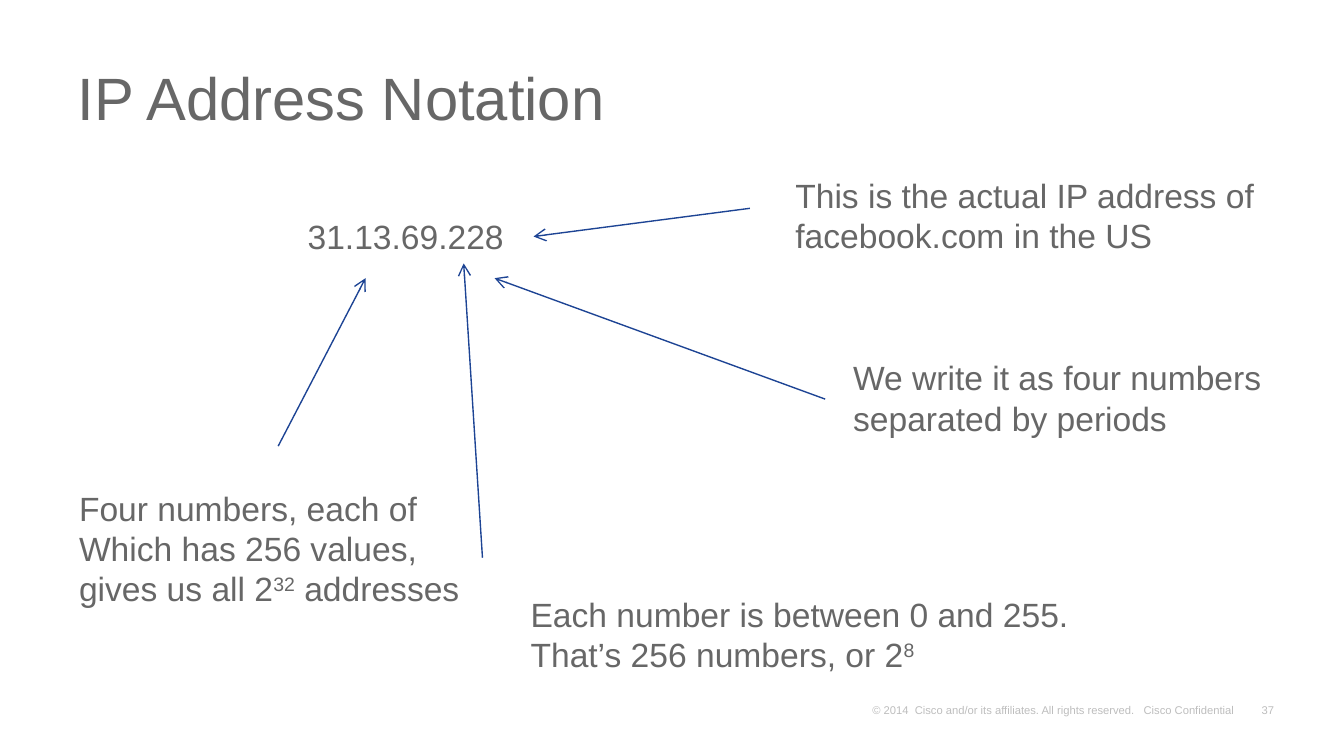
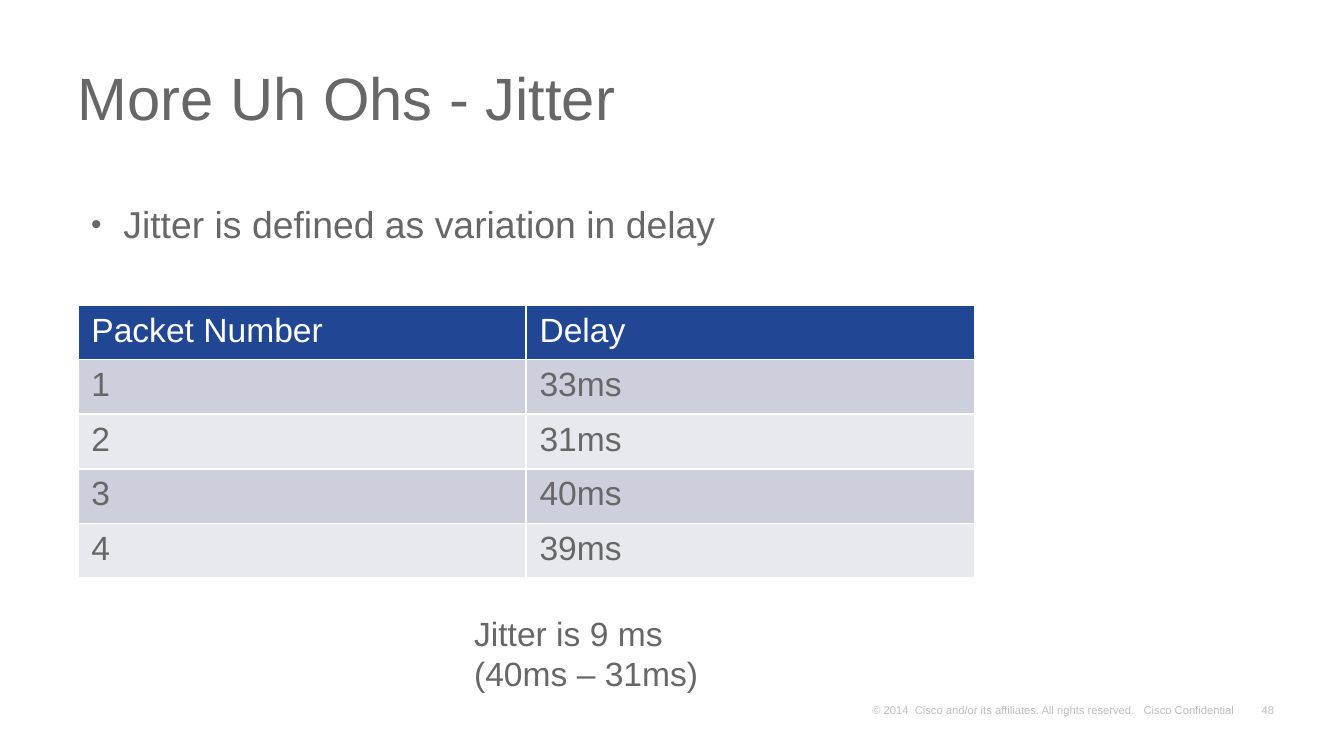
from dataclasses import dataclass
from typing import Optional

from lxml import etree
from pptx import Presentation
from pptx import util as u
from pptx.dml import color
from pptx.enum import shapes, text
from pptx.oxml import ns

FONT = "Arial"
HUES = {"text": "676767", "line": "1D4494", "head": "214794", "odd": "CDCFDC",
        "even": "E8E9EE", "white": "FFFFFF", "foot": "000000"}
LEGAL = ("© 2014  Cisco and/or its affiliates. All rights reserved.   "
         "Cisco Confidential")
ROWS = [("Packet Number", "Delay"), ("1", "33ms"), ("2", "31ms"),
        ("3", "40ms"), ("4", "39ms")]


@dataclass(frozen=True)
class Label:
    """Text lines in a box; a part between carets is raised."""
    box: tuple[float, float, float, float]
    lines: tuple[str, ...]
    size: int = 18
    hue: str = "text"
    wrap: bool = True
    grow: bool = True
    anchor: text.MSO_ANCHOR = text.MSO_ANCHOR.TOP
    align: text.PP_ALIGN = text.PP_ALIGN.LEFT
    inset: tuple[float, float] = (0.1, 0.05)
    space: Optional[float] = None
    bullet: bool = False


@dataclass(frozen=True)
class Arrow:
    start: tuple[float, float]
    end: tuple[float, float]


ADDRESS = Label((2.19, 1.56, 1.78, 0.4), ("31.13.69.228",), wrap=False)
NOTES = [
    Label((5.82, 1.25, 3.63, 0.71),
          ("This is the actual IP address of facebook.com in the US",)),
    Label((6.25, 2.61, 3.63, 0.71),
          ("We write it as four numbers separated by periods",)),
    Label((3.85, 4.37, 4.4, 0.71),
          ("Each number is between 0 and 255.", "That’s 256 numbers, or 2^8^"),
          wrap=False),
    Label((0.49, 3.58, 3.03, 1.31),
          ("Four numbers, each of",
           "Which has 256 values, gives us all 2^32^ addresses")),
]
ARROWS = [Arrow((5.58, 1.55), (3.97, 1.75)), Arrow((6.14, 2.97), (3.68, 2.07)),
          Arrow((3.59, 4.15), (3.45, 1.96)), Arrow((2.07, 3.32), (2.72, 2.07))]
POINT = Label((0.51, 1.47, 9.05, 3.46), ("Jitter is defined as variation in delay",),
              size=20, grow=False, space=0.95, bullet=True)
RESULT = Label((3.43, 4.51, 1.93, 0.71), ("Jitter is 9 ms", "(40ms – 31ms)"),
               wrap=False)


def rgb(hue: str) -> color.RGBColor:
    return color.RGBColor.from_string(HUES[hue])


def add(parent, tag: str, **attrs: str):
    """Append a DrawingML child element."""
    return etree.SubElement(parent, ns.qn(tag), attrs)


def style(para, size: int, hue: str) -> None:
    font = para.font
    font.name, font.size, font.bold = FONT, u.Pt(size), False
    font.color.rgb = rgb(hue)


def dot(para) -> None:
    """Give a paragraph a small hanging bullet."""
    props = para._p.get_or_add_pPr()
    props.set("marL", str(u.Inches(0.31)))
    props.set("indent", str(u.Inches(-0.24)))
    add(add(props, "a:buClr"), "a:srgbClr", val=HUES["text"])
    add(props, "a:buSzPct", val="80000")
    add(props, "a:buFont", typeface=FONT)
    add(props, "a:buChar", char="•")


def write(slide, label: Label):
    shape = slide.shapes.add_textbox(*map(u.Inches, label.box))
    frame = shape.text_frame
    frame.word_wrap = label.wrap
    frame.auto_size = (text.MSO_AUTO_SIZE.SHAPE_TO_FIT_TEXT if label.grow
                       else text.MSO_AUTO_SIZE.NONE)
    frame.vertical_anchor = label.anchor
    side, edge = map(u.Inches, label.inset)
    frame.margin_left = frame.margin_right = side
    frame.margin_top = frame.margin_bottom = edge
    for row, line in enumerate(label.lines):
        para = frame.add_paragraph() if row else frame.paragraphs[0]
        para.alignment = label.align
        if label.space:
            para.line_spacing = label.space
        if label.bullet:
            dot(para)
        style(para, label.size, label.hue)
        for part, words in enumerate(line.split("^")):
            if words:
                run = para.add_run()
                run.text = words
                if part % 2:
                    run.font._element.set("baseline", "30000")
    return shape


def fade(shape) -> None:
    """Let the text colour show at a quarter of its strength."""
    for hue in shape._element.iter(ns.qn("a:srgbClr")):
        add(hue, "a:alpha", val="25000")


def draw(slide, arrow: Arrow):
    line = slide.shapes.add_connector(
        shapes.MSO_CONNECTOR.STRAIGHT, *map(u.Inches, arrow.start + arrow.end))
    line.line.color.rgb = rgb("line")
    line.line.width = u.Pt(0.75)
    add(line.line._get_or_add_ln(), "a:tailEnd", type="arrow")
    add(line._element.spPr, "a:effectLst")
    return line


def edge(cell) -> None:
    """Draw thin white borders on all four sides."""
    props = cell._tc.get_or_add_tcPr()
    for spot, side in enumerate("LRTB"):
        line = etree.Element(ns.qn(f"a:ln{side}"), {"w": str(u.Pt(1))})
        add(add(line, "a:solidFill"), "a:srgbClr", val=HUES["white"])
        props.insert(spot, line)


def list_delays(slide) -> None:
    """Add the table of packet delays."""
    grid = slide.shapes.add_table(len(ROWS), 2, *map(
        u.Inches, (0.58, 2.27, 6.67, 2.03))).table
    for r, row in enumerate(ROWS):
        fill = ("odd" if r % 2 else "even") if r else "head"
        for c, words in enumerate(row):
            cell = grid.cell(r, c)
            cell.text = words
            style(cell.text_frame.paragraphs[0], 18, "text" if r else "white")
            cell.fill.solid()
            cell.fill.fore_color.rgb = rgb(fill)
            edge(cell)


def start(deck, title: str, page: int):
    """Add a slide with its footer and title."""
    slide = deck.slides.add_slide(deck.slide_layouts[6])
    foot = dict(size=6, hue="foot", anchor=text.MSO_ANCHOR.BOTTOM,
                inset=(0.07, 0.03))
    fade(write(slide, Label((9.31, 5.19, 0.24, 0.17), (str(page),), wrap=False,
                            align=text.PP_ALIGN.RIGHT, **foot)))
    fade(write(slide, Label((6.42, 5.19, 2.91, 0.17), (LEGAL,), **foot)))
    write(slide, Label((0.48, 0.37, 9.13, 0.8), (title,), size=32, grow=False,
                       anchor=text.MSO_ANCHOR.MIDDLE, space=0.8))
    return slide


def main() -> None:
    deck = Presentation()
    deck.slide_width = u.Inches(10)
    deck.slide_height = u.Inches(10 * 9 / 16)

    slide = start(deck, "IP Address Notation", 37)
    address = write(slide, ADDRESS)
    for note in NOTES:
        write(slide, note)
    lines = [draw(slide, arrow) for arrow in ARROWS]
    lines[0].end_connect(address, 3)

    slide = start(deck, "More Uh Ohs - Jitter", 48)
    write(slide, POINT)
    list_delays(slide)
    write(slide, RESULT)

    deck.save("out.pptx")


if __name__ == "__main__":
    main()
